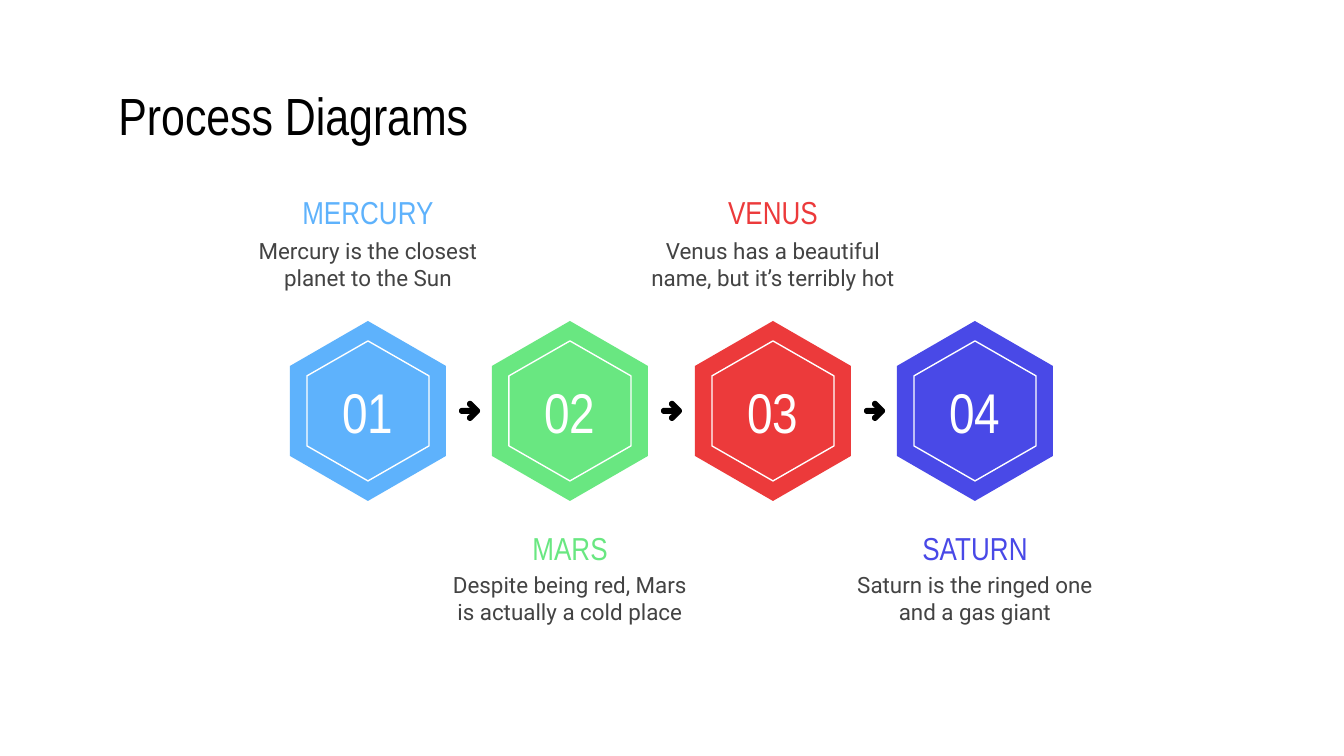
from dataclasses import dataclass
from math import cos, radians, sin

from pptx import Presentation
from pptx.dml.color import RGBColor
from pptx.enum.text import MSO_ANCHOR, MSO_AUTO_SIZE, PP_ALIGN
from pptx.shapes.autoshape import Shape
from pptx.shapes.shapetree import GroupShapes, SlideShapes
from pptx.text.text import TextFrame
from pptx.util import Emu, Pt

EMU_PER_PIXEL = 914400 / 134.4
Point = tuple[float, float]


@dataclass(frozen=True)
class TextStyle:
    font: str
    size: float
    color: str


@dataclass(frozen=True)
class Theme:
    title: TextStyle = TextStyle("Arial Narrow", 28, "000000")
    number: TextStyle = TextStyle("Arial Narrow", 30, "FFFFFF")
    body: TextStyle = TextStyle("Roboto", 12, "434343")
    heading_font: str = "Arial Narrow"
    heading_size: float = 17
    outline: str = "FFFFFF"
    outline_width: float = 0.75
    arrow: str = "000000"


@dataclass(frozen=True)
class Step:
    name: str
    description: str
    color: str


@dataclass(frozen=True)
class LabelRow:
    heading_top: int
    body_top: int


THEME = Theme()
STEPS = [
    Step("MERCURY", "Mercury is the closest planet to the Sun", "5EB2FC"),
    Step("MARS", "Despite being red, Mars is actually a cold place", "69E781"),
    Step("VENUS", "Venus has a beautiful name, but it’s terribly hot", "EC3A3B"),
    Step("SATURN", "Saturn is the ringed one and a gas giant", "4949E7"),
]
LABEL_ROWS = [LabelRow(169, 222), LabelRow(505, 556)]
FIRST_CENTER, CENTER_Y = 368, 411
TWO_STEPS = 405
ARROW_OFFSET = 102
HEADING_WIDTH, BODY_WIDTH, LABEL_HEIGHT = 257, 274, 85


def px(value: float) -> Emu:
    return Emu(round(value * EMU_PER_PIXEL))


def rgb(color: str) -> RGBColor:
    return RGBColor.from_string(color)


def write_text(frame: TextFrame, text: str, style: TextStyle, alignment: PP_ALIGN) -> None:
    frame.text = text
    frame.word_wrap = True
    frame.auto_size = MSO_AUTO_SIZE.NONE
    frame.vertical_anchor = MSO_ANCHOR.MIDDLE
    frame.margin_left = frame.margin_right = Pt(7.2)
    frame.margin_top = frame.margin_bottom = Pt(7.2)
    paragraph = frame.paragraphs[0]
    paragraph.alignment = alignment
    paragraph.font.name = style.font
    paragraph.font.size = Pt(style.size)
    paragraph.font.color.rgb = rgb(style.color)


def add_outline(shapes: GroupShapes | SlideShapes, points: list[Point]) -> Shape:
    """Add a closed, shadowless freeform through points given in px."""
    corners = [(px(x), px(y)) for x, y in points]
    builder = shapes.build_freeform(*corners[0], scale=1.0)
    builder.add_line_segments(corners[1:], close=True)
    shape = builder.convert_to_shape()
    shape.shadow.inherit = False
    return shape


def fill_solid(shape: Shape, color: str) -> None:
    shape.fill.solid()
    shape.fill.fore_color.rgb = rgb(color)
    shape.line.fill.background()


def hexagon(center: int, half_width: int, half_height: int) -> list[Point]:
    shoulder = half_height / 2
    offsets = [(0, -half_height), (-half_width, -shoulder), (-half_width, shoulder),
               (0, half_height), (half_width, shoulder), (half_width, -shoulder)]
    return [(center + x, CENTER_Y + y) for x, y in offsets]


def arc(x: float, y: float, start: int, end: int, radius: int = 3) -> list[Point]:
    angles = [radians(angle) for angle in range(start, end + 1, 15)]
    return [(x + radius * cos(angle), y + radius * sin(angle)) for angle in angles]


def add_arrow(shapes: SlideShapes, center: int) -> None:
    """Add an arrow with round ends, as one outline."""
    offsets = [*arc(-8, 0, 90, 270), (0, -3), *arc(0, -7, 135, 315),
               *arc(7, 0, -45, 45), *arc(0, 7, 45, 225), (0, 3)]
    arrow = add_outline(shapes, [(center + x, CENTER_Y + y) for x, y in offsets])
    fill_solid(arrow, THEME.arrow)


def add_label(shapes: GroupShapes, text: str, style: TextStyle,
              center: int, top: int, width: int) -> None:
    box = shapes.add_textbox(px(center - width / 2), px(top), px(width), px(LABEL_HEIGHT))
    write_text(box.text_frame, text, style, PP_ALIGN.CENTER)


def add_step(shapes: SlideShapes, step: Step, index: int, center: int) -> None:
    group = shapes.add_group_shape().shapes
    row = LABEL_ROWS[index % 2]
    badge = add_outline(group, hexagon(center, 78, 90))
    fill_solid(badge, step.color)
    write_text(badge.text_frame, f"{index + 1:02}", THEME.number, PP_ALIGN.CENTER)

    heading = TextStyle(THEME.heading_font, THEME.heading_size, step.color)
    add_label(group, step.name, heading, center, row.heading_top, HEADING_WIDTH)
    add_label(group, step.description, THEME.body, center, row.body_top, BODY_WIDTH)

    ring = add_outline(group, hexagon(center, 61, 70))
    ring.fill.background()
    ring.line.color.rgb = rgb(THEME.outline)
    ring.line.width = Pt(THEME.outline_width)


def main() -> None:
    presentation = Presentation()
    presentation.slide_width, presentation.slide_height = px(1344), px(756)
    slide = presentation.slides.add_slide(presentation.slide_layouts[5])

    title = slide.shapes.title
    title.left, title.top, title.width, title.height = px(105), px(79), px(1136), px(71)
    write_text(title.text_frame, "Process Diagrams", THEME.title, PP_ALIGN.LEFT)

    centers = [FIRST_CENTER + index * TWO_STEPS // 2 for index in range(len(STEPS))]
    for index, (step, center) in enumerate(zip(STEPS, centers)):
        add_step(slide.shapes, step, index, center)
    for center in centers[:-1]:
        add_arrow(slide.shapes, center + ARROW_OFFSET)

    presentation.save("out.pptx")


if __name__ == "__main__":
    main()
